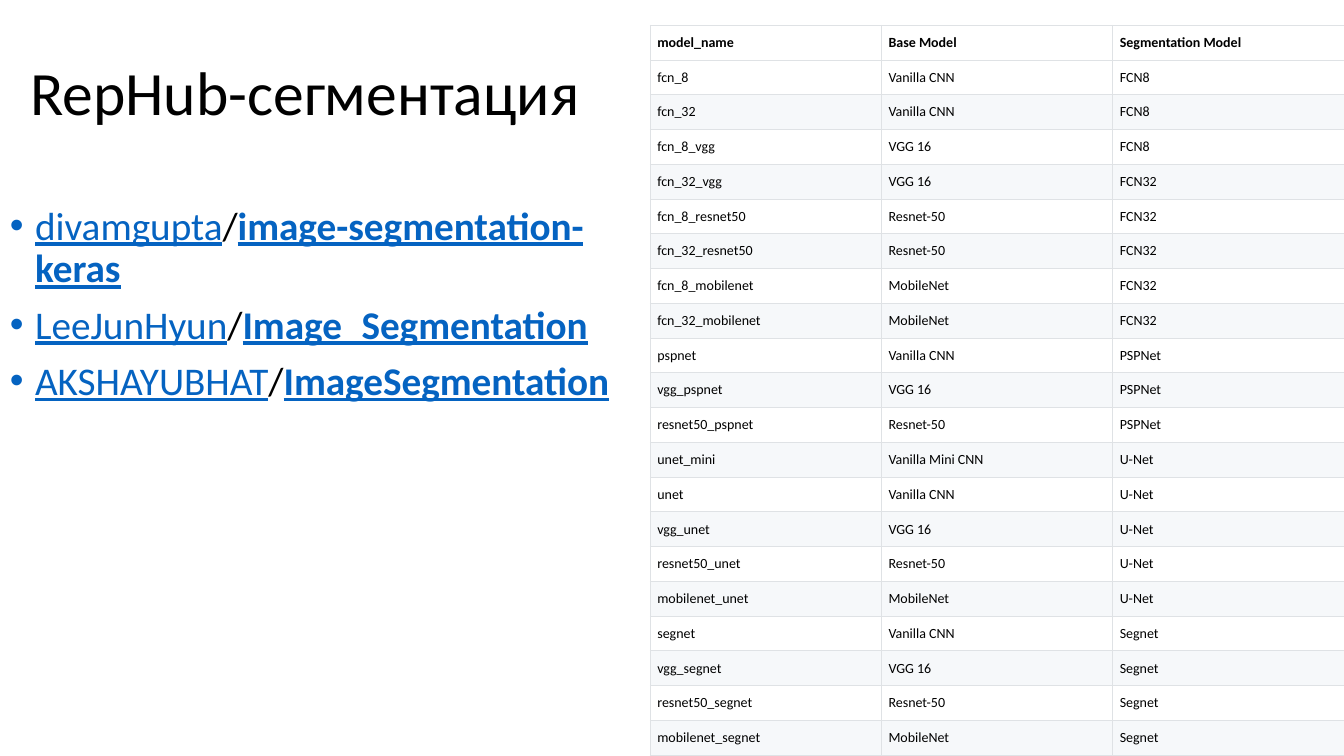
from lxml.etree import SubElement
from pptx import Presentation
from pptx.dml.color import RGBColor
from pptx.enum.text import MSO_ANCHOR, MSO_AUTO_SIZE, PP_ALIGN
from pptx.oxml.ns import qn
from pptx.util import Inches, Pt

FONT = "Calibri"
COLORS = {"text": "000000", "link": "0563C1", "plain": "FFFFFF",
          "band": "F6F8FA", "border": "DFE2E5"}

# Owner, then the lines of the repository name
REPOSITORIES = [
    ("divamgupta", ["image-segmentation-", "keras"]),
    ("LeeJunHyun", ["Image_Segmentation"]),
    ("AKSHAYUBHAT", ["ImageSegmentation"]),
]

MODELS = [
    ("model_name", "Base Model", "Segmentation Model"),
    ("fcn_8", "Vanilla CNN", "FCN8"),
    ("fcn_32", "Vanilla CNN", "FCN8"),
    ("fcn_8_vgg", "VGG 16", "FCN8"),
    ("fcn_32_vgg", "VGG 16", "FCN32"),
    ("fcn_8_resnet50", "Resnet-50", "FCN32"),
    ("fcn_32_resnet50", "Resnet-50", "FCN32"),
    ("fcn_8_mobilenet", "MobileNet", "FCN32"),
    ("fcn_32_mobilenet", "MobileNet", "FCN32"),
    ("pspnet", "Vanilla CNN", "PSPNet"),
    ("vgg_pspnet", "VGG 16", "PSPNet"),
    ("resnet50_pspnet", "Resnet-50", "PSPNet"),
    ("unet_mini", "Vanilla Mini CNN", "U-Net"),
    ("unet", "Vanilla CNN", "U-Net"),
    ("vgg_unet", "VGG 16", "U-Net"),
    ("resnet50_unet", "Resnet-50", "U-Net"),
    ("mobilenet_unet", "MobileNet", "U-Net"),
    ("segnet", "Vanilla CNN", "Segnet"),
    ("vgg_segnet", "VGG 16", "Segnet"),
    ("resnet50_segnet", "Resnet-50", "Segnet"),
    ("mobilenet_segnet", "MobileNet", "Segnet"),
]


def color(name):
    return RGBColor.from_string(COLORS[name])


def style_font(font, size, bold=False):
    font.name, font.size, font.bold = FONT, Pt(size), bold
    font.color.rgb = color("text")


def add_title(page, text, left, top, width, height):
    title = page.shapes.title
    title.left, title.top = Inches(left), Inches(top)
    title.width, title.height = Inches(width), Inches(height)
    frame = title.text_frame
    frame.text = text
    frame.word_wrap = True
    frame.auto_size = MSO_AUTO_SIZE.NONE
    frame.vertical_anchor = MSO_ANCHOR.MIDDLE
    para = frame.paragraphs[0]
    para.alignment = PP_ALIGN.LEFT
    para.line_spacing = 0.9
    style_font(para.font, 44)


def add_bullet(para):
    properties = para._p.get_or_add_pPr()
    properties.set("marL", str(Inches(0.25)))
    properties.set("indent", str(-Inches(0.25)))
    bullet_color = SubElement(properties, qn("a:buClr"))
    SubElement(bullet_color, qn("a:srgbClr"), val=COLORS["link"])
    SubElement(properties, qn("a:buFont"), typeface="Arial")
    SubElement(properties, qn("a:buChar"), char="•")


def add_link_text(para, text, bold=False):
    span = para.add_run()
    span.text = text
    span.font.bold = bold
    span.font.underline = True
    span.font.color.rgb = color("link")


def add_repositories(page, left, top, width, height):
    box = page.shapes.add_textbox(Inches(left), Inches(top), Inches(width), Inches(height))
    frame = box.text_frame
    frame.word_wrap = True
    for index, (owner, name_lines) in enumerate(REPOSITORIES):
        para = frame.add_paragraph() if index else frame.paragraphs[0]
        add_bullet(para)
        style_font(para.font, 28)
        para.line_spacing = 0.9
        para.space_before = Pt(10 if index else 0)
        add_link_text(para, owner)
        para.add_run().text = "/"
        for line_number, line in enumerate(name_lines):
            if line_number:
                para.add_line_break()
            add_link_text(para, line, bold=True)


def add_borders(cell):
    properties = cell._tc.get_or_add_tcPr()
    for side in ("L", "R", "T", "B"):
        line = SubElement(properties, qn(f"a:ln{side}"), w=str(Pt(0.75)))
        fill = SubElement(line, qn("a:solidFill"))
        SubElement(fill, qn("a:srgbClr"), val=COLORS["border"])


def fill_cell(cell, text, row_number):
    add_borders(cell)
    cell.fill.solid()
    banded = row_number > 0 and row_number % 2 == 0
    cell.fill.fore_color.rgb = color("band" if banded else "plain")
    cell.vertical_anchor = MSO_ANCHOR.MIDDLE
    cell.margin_left = cell.margin_right = Inches(0.07)
    cell.margin_top = cell.margin_bottom = Inches(0.03)
    cell.text = text
    style_font(cell.text_frame.paragraphs[0].font, 10, bold=row_number == 0)


def add_model_table(page, left, top, width, height):
    row_count, column_count = len(MODELS), len(MODELS[0])
    table = page.shapes.add_table(row_count, column_count, Inches(left), Inches(top),
                                  Inches(width), Inches(height)).table
    for row_number, row in enumerate(MODELS):
        for column_number, text in enumerate(row):
            fill_cell(table.cell(row_number, column_number), text, row_number)


def main():
    deck = Presentation()
    deck.slide_width, deck.slide_height = Inches(13.33), Inches(7.5)
    page = deck.slides.add_slide(deck.slide_layouts[5])
    add_title(page, "RepHub-сегментация", 0.2, 0.22, 11.5, 1.45)
    add_repositories(page, 0, 2, 11.5, 4.76)
    add_model_table(page, 6.45, 0.25, 6.88, 7.25)
    deck.save("out.pptx")


if __name__ == "__main__":
    main()
